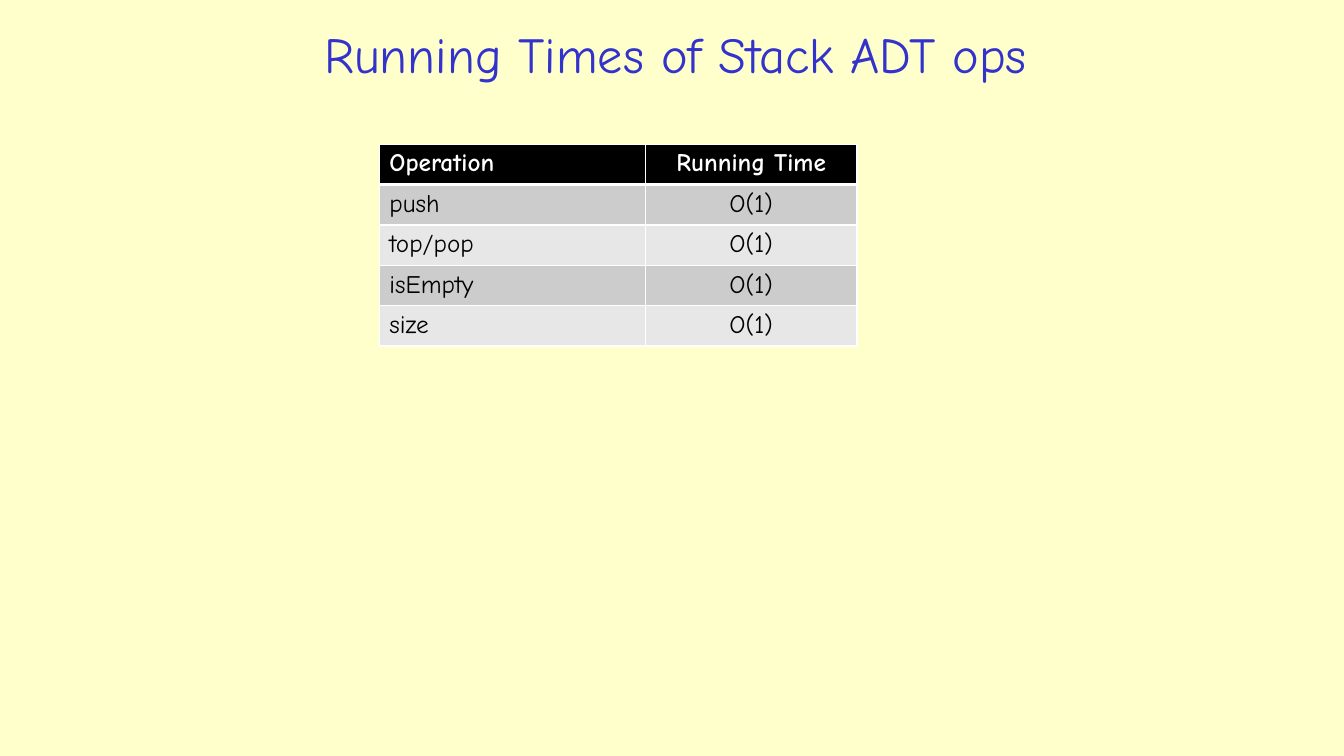
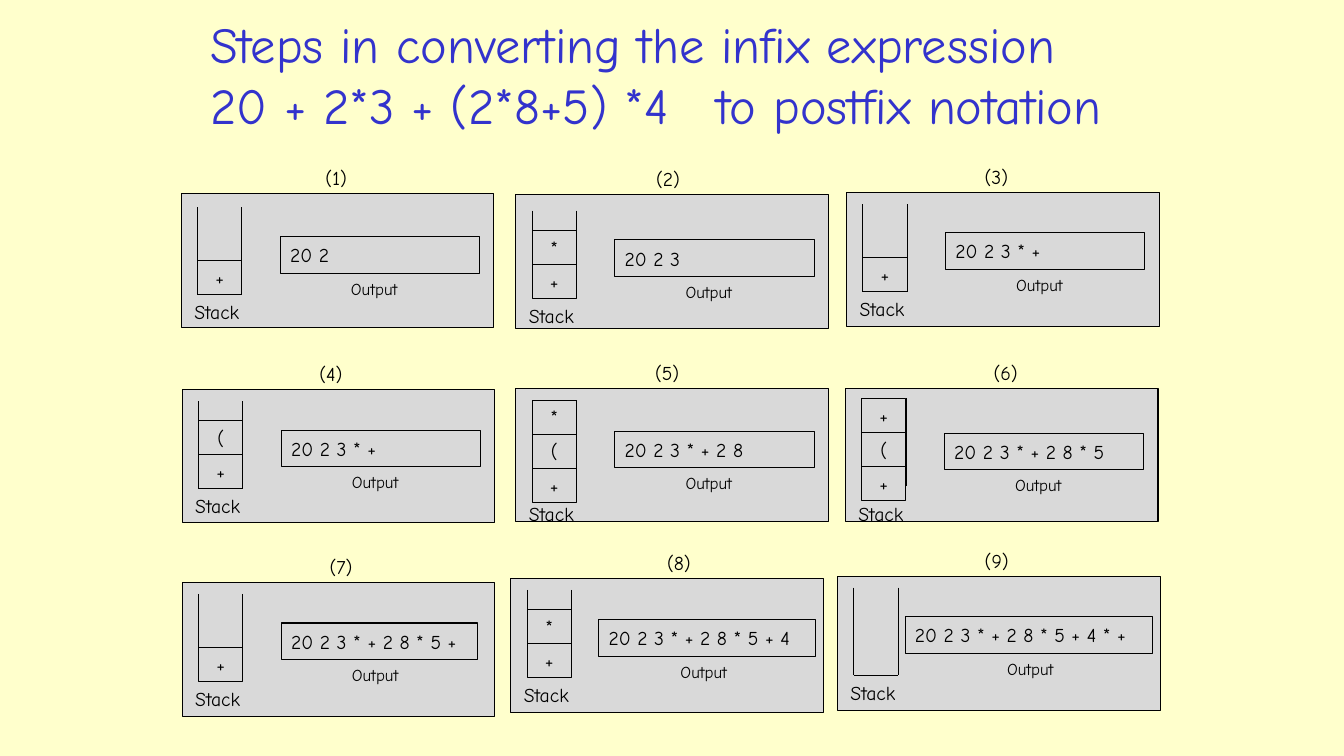
from lxml import etree
from pptx import Presentation
from pptx.dml.color import RGBColor
from pptx.enum import shapes, text
from pptx.oxml.ns import qn
from pptx.util import Pt

# Shared look
CREAM = RGBColor(0xFF, 0xFF, 0xCC)
BLUE = RGBColor(0x33, 0x33, 0xCC)
BLACK = RGBColor(0, 0, 0)
WHITE = RGBColor(0xFF, 0xFF, 0xFF)
PANEL = RGBColor(0xD9, 0xD9, 0xD9)
BANDS = RGBColor(0xCC, 0xCC, 0xCC), RGBColor(0xE7, 0xE7, 0xE7)
FONT = "Comic Neue"
LEFT, MID = text.PP_ALIGN.LEFT, text.PP_ALIGN.CENTER
RECT = shapes.MSO_SHAPE.RECTANGLE

# Running times
TIMES = [
    ("Operation", "Running Time"),
    ("push", "O(1)"),
    ("top/pop", "O(1)"),
    ("isEmpty", "O(1)"),
    ("size", "O(1)"),
]
COLS, ROW = (190, 151.2), 28

# Steps: left and top, stack from the bottom up, output;
# then offsets in the panel: number x, stack top, output top
STEPS = [
    (129.6, 138.2, "+", "20 2", 95.8, 10, 31),
    (368.6, 139, "+*", "20 2 3", 93, 11.5, 32.4),
    (604.8, 137.5, "+", "20 2 3 * +", 91.4, 8.3, 28.8),
    (130.3, 278, "+(", "20 2 3 * +", 90.7, 8.6, 29.5),
    (368.6, 277.2, "+(*", "20 2 3 * + 2 8", 92.2, 8.6, 31),
    (604, 277.2, "+(+", "20 2 3 * + 2 8 * 5", 98.6, 7.2, 32.4),
    (130.3, 416.2, "+", "20 2 3 * + 2 8 * 5 +", 98, 8, 28.8),
    (365, 413.3, "+*", "20 2 3 * + 2 8 * 5 + 4", 104.4, 8, 29.5),
    (598.3, 411.8, "", "20 2 3 * + 2 8 * 5 + 4 * +", 98, 8, 28.8),
]
WIDE, HIGH = 223.2, 95.5      # panel
CELL, WALL = 24.3, 62.5       # heights of a stack cell and of the walls
SPAN, SLOT = 31.7, 26         # widths of the stack, heights of the output
# Sizes that differ: panel width, output offset and width
SIZES = {7: (WIDE, 70.6, 140.4), 8: (WIDE, 62.6, 154.8), 9: (231, 48.2, 177)}


def write(frame, words, size=14, color=BLACK, align=LEFT, bold=False,
          wrap=True, anchor=text.MSO_ANCHOR.MIDDLE):
    frame.word_wrap = wrap
    frame.vertical_anchor = anchor
    for i, line in enumerate(words.split("\n")):
        para = frame.paragraphs[0] if i == 0 else frame.add_paragraph()
        para.alignment = align
        run = para.add_run()
        run.text = line
        run.font.name, run.font.size = FONT, Pt(size)
        run.font.bold, run.font.color.rgb = bold, color
    return frame


def label(home, x, y, w, h, words, **form):
    area = home.add_textbox(Pt(x), Pt(y), Pt(w), Pt(h))
    return write(area.text_frame, words, **form)


def box(home, x, y, w, h, words="", fill=None, **form):
    item = home.add_shape(RECT, Pt(x), Pt(y), Pt(w), Pt(h))
    item.shadow.inherit = False
    if fill is None:
        item.fill.background()
    else:
        item.fill.solid()
        item.fill.fore_color.rgb = fill
    item.line.color.rgb, item.line.width = BLACK, Pt(0.75)
    if words:
        write(item.text_frame, words, **form)


def line(home, x, y, x2, y2):
    item = home.add_connector(shapes.MSO_CONNECTOR.STRAIGHT,
                              Pt(x), Pt(y), Pt(x2), Pt(y2))
    item.line.color.rgb, item.line.width = BLACK, Pt(0.75)
    etree.SubElement(item._element.spPr, qn("a:effectLst"))


def edge(cell, side, width):
    rule = etree.SubElement(cell._tc.get_or_add_tcPr(), qn("a:" + side),
                            w=str(Pt(width)))
    fill = etree.SubElement(rule, qn("a:solidFill"))
    etree.SubElement(fill, qn("a:srgbClr"), val=str(WHITE))


def tab(para, at):
    stops = etree.SubElement(para._p.get_or_add_pPr(), qn("a:tabLst"))
    etree.SubElement(stops, qn("a:tab"), pos=str(Pt(at)), algn="l")


def title(slide, x, w, h, words, align=MID):
    return label(slide.shapes, x, 10.8, w, h, words, size=36, color=BLUE,
                 align=align)


def times(slide):
    title(slide, 145.4, 674, 54.7, "Running Times of Stack ADT ops")
    grid = slide.shapes.add_table(
        len(TIMES), len(COLS), Pt(271), Pt(103), Pt(sum(COLS)),
        Pt(ROW * len(TIMES))).table
    for col, width in zip(grid.columns, COLS):
        col.width = Pt(width)
    for r, row in enumerate(TIMES):
        grid.rows[r].height = Pt(ROW)
        head = r == 0
        for c, words in enumerate(row):
            cell = grid.cell(r, c)
            for side in ("lnL", "lnR", "lnT", "lnB"):
                thick = (side, r) in (("lnB", 0), ("lnT", 1))
                edge(cell, side, 3 if thick else 1)
            cell.fill.solid()
            cell.fill.fore_color.rgb = BLACK if head else BANDS[(r - 1) % 2]
            write(cell.text_frame, words, size=18, bold=head,
                  color=WHITE if head else BLACK, align=MID if c else LEFT,
                  anchor=text.MSO_ANCHOR.TOP)


def panel(slide, num, x, y, stack, out, mark, rim, slot):
    home = slide.shapes.add_group_shape().shapes
    wide, dx, width = SIZES.get(num, (WIDE, 70.5, 142.5))
    box(home, x, y, wide, HIGH, fill=PANEL)
    label(home, x + mark, y - 23.4, 34, CELL, f"({num})", wrap=False)

    # Stack: walls, then cells from the bottom up
    left, top = x + 11.5, y + rim
    base = top + max(WALL, CELL * len(stack))
    for side in (left, left + SPAN):
        line(home, side, top, side, top + WALL)
    if not stack:
        line(home, left, base, left + SPAN, base)
    for i, sign in enumerate(stack, 1):
        box(home, left, base - CELL * i, SPAN, CELL, sign, align=MID)
    label(home, left - 9.4, min(base, y + 77.5), 53.3, CELL, "Stack",
          wrap=False)

    # Output
    box(home, x + dx, y + slot, width, SLOT, out, wrap=False)
    label(home, x + 114, y + slot + SLOT, 54.7, 21.6, "Output", size=12,
          wrap=False)


def steps(slide):
    head = title(slide, 143, 680, 84.2,
                 "Steps in converting the infix expression\n"
                 "20 + 2*3 + (2*8+5) *4\tto postfix notation", align=LEFT)
    tab(head.paragraphs[1], 362)
    for num, step in enumerate(STEPS, 1):
        panel(slide, num, *step)


def main():
    deck = Presentation()
    deck.slide_width, deck.slide_height = Pt(960), Pt(540)
    back = deck.slide_master.background.fill
    back.solid()
    back.fore_color.rgb = CREAM
    for draw in (times, steps):
        draw(deck.slides.add_slide(deck.slide_layouts[6]))
    deck.save("out.pptx")


if __name__ == "__main__":
    main()
